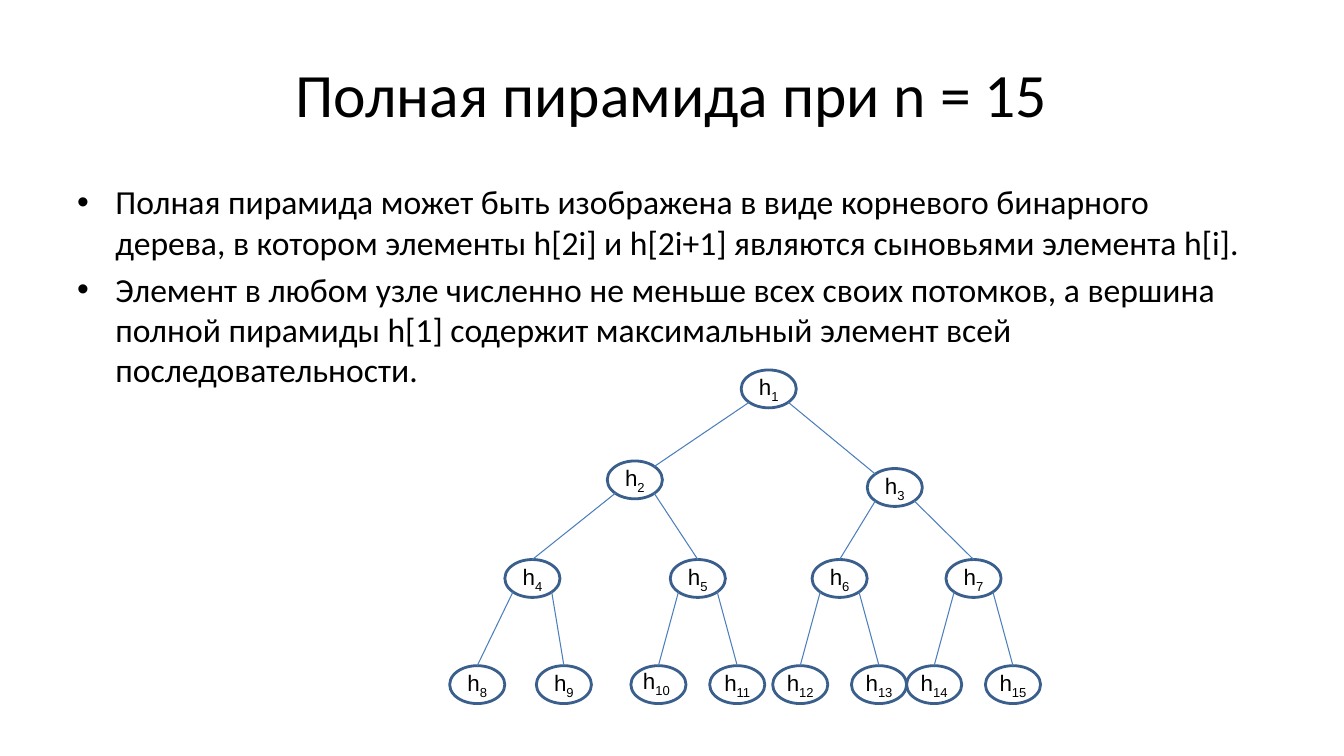
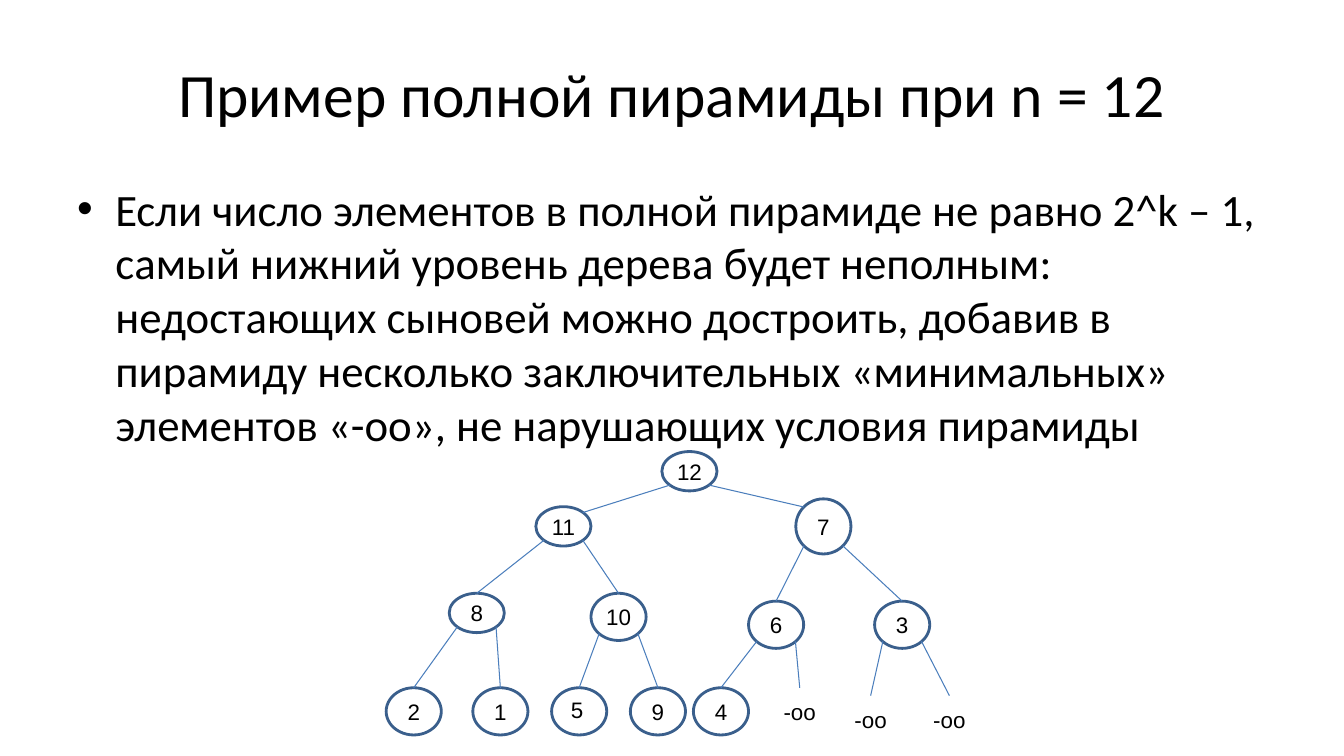
from pptx import Presentation, util as u
from pptx.dml.color import RGBColor
from pptx.enum import shapes, text
from lxml import etree

THEME = {
    "ink": "000000", "outline": "3A5F8C", "branch": "4B7EBC", "hidden": "FFFFFF",
    "body_font": "Calibri", "node_font": "Arial",
    "title_size": 44, "node_size": 16,
    "outline_width": 2, "branch_width": 0.75,
}
WIDTH, HEIGHT = 13.33, 7.5
MARGIN = WIDTH / 20
TITLE_AREA = (MARGIN, HEIGHT * 0.04, WIDTH * 0.9, HEIGHT / 6)
BODY_AREA = (MARGIN, HEIGHT * 7 / 30, WIDTH * 0.9, HEIGHT * 0.66)
HANGING = 0.38       # bullet indent
NODE_COLUMNS = 7     # width of a tree node in grid columns
CORNER = 0.35        # diagonal point of an ellipse, as a share of its size
MINIMAL = "-оо"      # value of an added node, drawn without an outline
RAISED_NODE = 10     # the node whose label sits a little higher
PAD = 0.04

# Nodes are in heap order: (label, subscript, column, row, height in rows)
SLIDES = [
    {
        "title": "Полная пирамида при n = 15",
        "body_size": 24,
        "body": [
            "Полная пирамида может быть изображена в виде корневого бинарного дерева, "
            "в котором элементы h[2i] и h[2i+1] являются сыновьями элемента h[i].",
            "Элемент в любом узле численно не меньше всех своих потомков, а вершина "
            "полной пирамиды h[1] содержит максимальный элемент всей последовательности.",
        ],
        "tree_area": (4.46, 3.67, 5.86, 3.31),
        "nodes": [("h", str(number), column, row, 5) for number, (column, row) in enumerate([
            (37, 0),
            (20, 12), (53, 13),
            (7, 25), (28, 25), (46, 25), (63, 25),
            (0, 39), (11, 39), (23, 39), (33, 39), (41, 39), (51, 39), (58, 39), (68, 39),
        ], 1)],
    },
    {
        "title": "Пример полной пирамиды при n = 12",
        "body_size": 32,
        "body": [
            "Если число элементов в полной пирамиде не равно 2^k – 1, самый нижний "
            "уровень дерева будет неполным: недостающих сыновей можно достроить, добавив "
            "в пирамиду несколько заключительных «минимальных» элементов «-oo», "
            "не нарушающих условия пирамиды",
        ],
        "tree_area": (3.83, 4.48, 5.86, 2.89),
        "nodes": [
            ("12", "", 35, 0, 5),
            ("11", "", 19, 7, 5), ("7", "", 52, 6, 7),
            ("8", "", 8, 18, 5), ("10", "", 26, 18, 6), ("6", "", 46, 19, 6), ("3", "", 62, 19, 6),
            ("2", "", 0, 30, 6), ("1", "", 11, 30, 6), ("5", "", 21, 30, 6), ("9", "", 31, 30, 6),
            ("4", "", 39, 30, 6), (MINIMAL, "", 49, 30, 6),
            (MINIMAL, "", 58, 31, 6), (MINIMAL, "", 68, 31, 6),
        ],
    },
]


def color(name):
    return RGBColor.from_string(THEME[name])


def inches(lengths):
    return [u.Inches(length) for length in lengths]


def add_bullet(paragraph):
    properties = paragraph._p.get_or_add_pPr()
    properties.set("marL", str(u.Inches(HANGING)))
    properties.set("indent", str(-u.Inches(HANGING)))
    for tag, attribute, value in (("buFont", "typeface", "Arial"), ("buChar", "char", "•")):
        etree.SubElement(properties, properties.tag.replace("pPr", tag)).set(attribute, value)


def write(frame, paragraphs, *, size, font, align=text.PP_ALIGN.LEFT,
          anchor=text.MSO_ANCHOR.TOP, bullets=False, wrap=True, insets=(0.1, 0.05, 0.1, 0.05)):
    """Each paragraph is a list of (text, is subscript) runs."""
    frame.word_wrap = wrap
    frame.vertical_anchor = anchor
    (frame.margin_left, frame.margin_top,
     frame.margin_right, frame.margin_bottom) = inches(insets)
    for index, runs in enumerate(paragraphs):
        paragraph = frame.add_paragraph() if index else frame.paragraphs[0]
        paragraph.alignment = align
        if index:
            paragraph.space_before = u.Pt(size * 0.2)
        if bullets:
            add_bullet(paragraph)
        for words, subscript in runs:
            run = paragraph.add_run()
            run.text = words
            run.font.size, run.font.name = u.Pt(size), font
            run.font.color.rgb = color("ink")
            if subscript:
                run._r.get_or_add_rPr().set("baseline", "-25000")


def add_text(slide, area, paragraphs, **style):
    box = slide.shapes.add_textbox(*inches(area))
    write(box.text_frame, [[(words, False)] for words in paragraphs],
          font=THEME["body_font"], **style)


def add_node(slide, number, area, label, subscript):
    node = slide.shapes.add_shape(shapes.MSO_SHAPE.OVAL, *inches(area))
    node.shadow.inherit = False
    node.fill.background()
    node.line.color.rgb = color("hidden" if label == MINIMAL else "outline")
    node.line.width = u.Pt(THEME["outline_width"])
    runs = [(label, False)] + ([(subscript, True)] if subscript else [])
    write(node.text_frame, [runs], size=THEME["node_size"], font=THEME["node_font"],
          align=text.PP_ALIGN.CENTER, anchor=text.MSO_ANCHOR.MIDDLE, wrap=False,
          insets=(0, 0, PAD, PAD) if number == RAISED_NODE else (0, PAD, 0, PAD))


def point_on(area, across, down):
    """A point at the given shares of an area's size from its centre."""
    left, top, width, height = area
    return left + width * (0.5 + across), top + height * (0.5 + down)


def add_branch(slide, start, end):
    branch = slide.shapes.add_connector(shapes.MSO_CONNECTOR.STRAIGHT, *inches(start + end))
    branch.line.color.rgb = color("branch")
    branch.line.width = u.Pt(THEME["branch_width"])
    properties = branch._element.spPr
    etree.SubElement(properties, properties.find("{*}ln").tag.replace("}ln", "}effectLst"))


def add_tree(slide, tree_area, nodes):
    left, top, width, height = tree_area
    column_width = width / max(column + NODE_COLUMNS for _, _, column, _, _ in nodes)
    row_height = height / max(row + rows for _, _, _, row, rows in nodes)
    areas = {}
    for number, (label, subscript, column, row, rows) in enumerate(nodes, 1):
        areas[number] = (left + column * column_width, top + row * row_height,
                         NODE_COLUMNS * column_width, rows * row_height)
        add_node(slide, number, areas[number], label, subscript)

    # Even numbers are left sons; the root's sons are met at their inner corner
    for son in range(2, len(nodes) + 1):
        side = 1 if son % 2 else -1
        start = point_on(areas[son // 2], side * CORNER, CORNER)
        inner = son // 2 == 1
        end = point_on(areas[son], -side * CORNER if inner else 0, -CORNER if inner else -0.5)
        add_branch(slide, start, end)


def main():
    deck = Presentation()
    deck.slide_width, deck.slide_height = inches((WIDTH, HEIGHT))
    for content in SLIDES:
        slide = deck.slides.add_slide(deck.slide_layouts[6])
        add_text(slide, TITLE_AREA, [content["title"]], size=THEME["title_size"],
                 align=text.PP_ALIGN.CENTER, anchor=text.MSO_ANCHOR.MIDDLE)
        add_text(slide, BODY_AREA, content["body"], size=content["body_size"], bullets=True)
        add_tree(slide, content["tree_area"], content["nodes"])
    deck.save("out.pptx")


if __name__ == "__main__":
    main()
